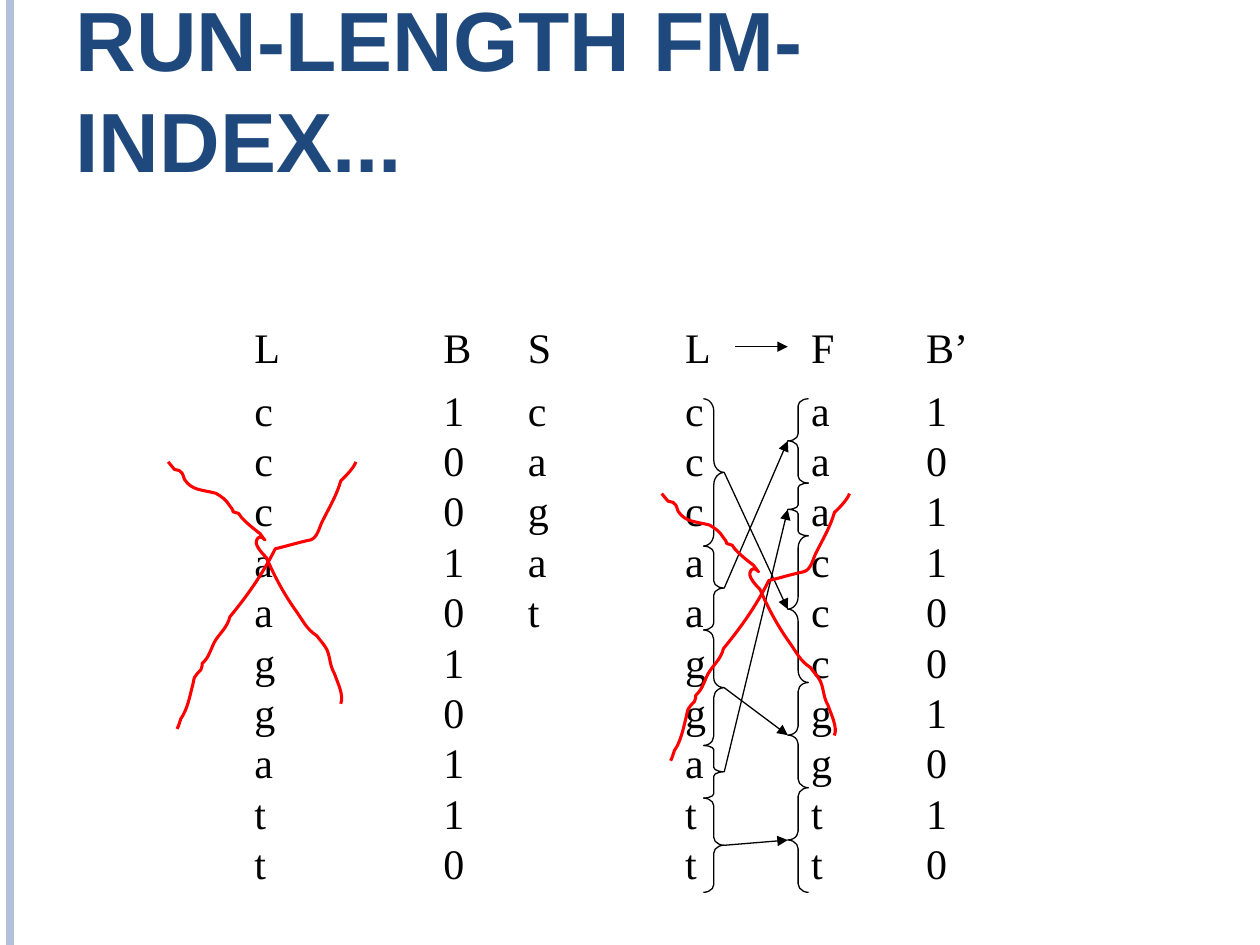
from dataclasses import dataclass
from itertools import pairwise

from lxml.etree import SubElement
from pptx import Presentation
from pptx.dml.color import RGBColor
from pptx.enum.shapes import MSO_CONNECTOR as Connector, MSO_SHAPE as Preset
from pptx.enum.text import MSO_ANCHOR as Anchor, MSO_AUTO_SIZE as AutoSize, PP_ALIGN as Align
from pptx.oxml.ns import qn
from pptx.util import Cm, Pt


@dataclass(frozen=True)
class Theme:
    title_color: RGBColor = RGBColor(0x1F, 0x49, 0x7D)
    text_color: RGBColor = RGBColor(0, 0, 0)
    cross_color: RGBColor = RGBColor(0xFF, 0, 0)
    edge_color: RGBColor = RGBColor(0xB2, 0xC1, 0xDB)
    title_font: str = "Arial"
    text_font: str = "Times New Roman"
    title_size: Pt = Pt(48)
    text_size: Pt = Pt(24)
    row_pitch: Pt = Pt(28.8)
    thin: Pt = Pt(0.75)
    stroke: Pt = Pt(1.75)
    edge: Pt = Pt(4.5)


THEME = Theme()

# heading, left, heading width, letters
COLUMNS = [
    ("L", 4.88, 1.02, "cccaaggatt"),
    ("B", 8.69, 1.07, "1001010110"),
    ("S", 10.39, 0.97, "cagat"),
    ("B’", 18.42, 1.35, "1011001010"),
    ("F", 16.1, 0.97, "aaacccggtt"),
    ("L", 13.56, 1.02, "cccaaggatt"),
]
HEADING_TOP, LETTERS_TOP, LETTER_WIDTH, ROW = 6.35, 7.62, 0.91, 1.02

BRACE_WIDTH, L_BRACE_LEFT, F_BRACE_LEFT = 0.42, 14.18, 15.88
L_BOUNDS = [8.04, 11.01, 12.7, 15.03, 16.09, 17.99]
F_BOUNDS = [8.04, 9.74, 10.8, 13.76, 15.88, 17.99]
L_RUN_OF_F_RUN = [1, 3, 0, 2, 4]

# Start point, then three Bézier points per curve, in hundredths of an inch
CROSS_UNIT = Cm(2.54) / 100
CROSS_ORIGINS = [(3.39, 9.31), (13.34, 9.95)]
CROSS_STROKES = [
    [(0, 0), (2, 2), (3, 4), (5, 6), (6, 7), (9, 6), (10, 8),
     (12, 9), (12, 12), (13, 14), (19, 23), (27, 22), (38, 25),
     (43, 28), (46, 30), (49, 35), (55, 42), (47, 38), (56, 41),
     (57, 43), (59, 45), (61, 47), (65, 51), (73, 57), (73, 57),
     (82, 70), (73, 53), (70, 63), (69, 67), (76, 74), (78, 76),
     (85, 92), (92, 105), (102, 119), (107, 126), (110, 133), (118, 138),
     (120, 141), (124, 145), (126, 149), (129, 156), (128, 161), (132, 168),
     (134, 174), (140, 186), (137, 192)],
    [(149, 0), (147, 6), (137, 15), (137, 15), (134, 26), (128, 36), (123, 46),
     (120, 51), (119, 60), (113, 62), (103, 64), (94, 67), (85, 69),
     (75, 89), (63, 106), (49, 123), (47, 131), (42, 135), (38, 141),
     (34, 147), (33, 155), (27, 160), (27, 161), (27, 163), (26, 165),
     (24, 167), (22, 169), (21, 171), (20, 173), (20, 176), (19, 179),
     (17, 187), (15, 197), (10, 204), (8, 210), (9, 208), (7, 212)],
]


def add_run(paragraph, text, font, size, color, bold=False):
    run = paragraph.add_run()
    run.text = text
    run.font.name, run.font.size, run.font.bold = font, size, bold
    run.font.color.rgb = color


def set_title(slide, text):
    title = slide.shapes.title
    title.left, title.top, title.width, title.height = Cm(1.27), Cm(0.76), Cm(20.75), Cm(3.18)
    frame = title.text_frame
    frame.auto_size, frame.vertical_anchor = AutoSize.NONE, Anchor.BOTTOM
    paragraph = frame.paragraphs[0]
    paragraph.alignment = Align.LEFT
    add_run(paragraph, text, THEME.title_font, THEME.title_size, THEME.title_color, True)


def add_letters(slide, left, top, width, letters):
    """Stack the given strings, one paragraph each."""
    height = ROW * len(letters) + 0.25
    frame = slide.shapes.add_textbox(Cm(left), Cm(top), Cm(width), Cm(height)).text_frame
    frame.word_wrap = False
    for row, letter in enumerate(letters):
        paragraph = frame.add_paragraph() if row else frame.paragraphs[0]
        paragraph.line_spacing = THEME.row_pitch
        add_run(paragraph, letter, THEME.text_font, THEME.text_size, THEME.text_color)


def add_line(slide, start, end, color, width, arrow_at_start=False):
    line = slide.shapes.add_connector(Connector.STRAIGHT, *map(Cm, start + end))
    line.line.color.rgb, line.line.width = color, width
    if arrow_at_start:
        SubElement(line.line._get_or_add_ln(), qn("a:headEnd"), type="triangle")
    SubElement(line._element.spPr, qn("a:effectLst"))


def outline(shape, color, width):
    shape.shadow.inherit = False
    shape.fill.background()
    shape.line.color.rgb, shape.line.width = color, width


def add_braces(slide, preset, left, bounds):
    """Brace every run between neighbouring bounds and return the middles."""
    for top, bottom in pairwise(bounds):
        height = bottom - top
        brace = slide.shapes.add_shape(preset, Cm(left), Cm(top), Cm(BRACE_WIDTH), Cm(height))
        brace.adjustments[0] = height / BRACE_WIDTH / 12
        outline(brace, THEME.text_color, THEME.thin)
    return [(top + bottom) / 2 for top, bottom in pairwise(bounds)]


def add_curve(slide, origin, points):
    builder = slide.shapes.build_freeform(*points[0], scale=CROSS_UNIT)
    builder.add_line_segments(points[1:], close=False)
    curve = builder.convert_to_shape(*map(Cm, origin))
    segments = list(curve._element.iter(qn("a:lnTo")))
    for first in range(0, len(segments), 3):
        bezier = SubElement(segments[first].getparent(), qn("a:cubicBezTo"))
        for segment in segments[first:first + 3]:
            bezier.append(segment[0])
            segment.getparent().remove(segment)
    outline(curve, THEME.cross_color, THEME.stroke)


def main():
    presentation = Presentation()
    presentation.slide_width, presentation.slide_height = Cm(25.4), Cm(19.05)
    slide = presentation.slides.add_slide(presentation.slide_layouts[5])

    add_line(slide, (0.21, 0), (0.21, 19.05), THEME.edge_color, THEME.edge)
    set_title(slide, "RUN-LENGTH FM-INDEX...")

    for heading, left, width, letters in COLUMNS:
        add_letters(slide, left, LETTERS_TOP, LETTER_WIDTH, letters)
        add_letters(slide, left, HEADING_TOP, width, [heading])

    f_middles = add_braces(slide, Preset.LEFT_BRACE, F_BRACE_LEFT, F_BOUNDS)
    l_middles = add_braces(slide, Preset.RIGHT_BRACE, L_BRACE_LEFT, L_BOUNDS)
    l_tip = L_BRACE_LEFT + BRACE_WIDTH
    for f_middle, l_run in zip(f_middles, L_RUN_OF_F_RUN):
        add_line(slide, (F_BRACE_LEFT, f_middle), (l_tip, l_middles[l_run]),
                 THEME.text_color, THEME.thin, True)
    add_line(slide, (F_BRACE_LEFT, 6.99), (14.82, 6.99), THEME.text_color, THEME.thin, True)

    for origin in CROSS_ORIGINS:
        for points in CROSS_STROKES:
            add_curve(slide, origin, points)

    presentation.save("out.pptx")


if __name__ == "__main__":
    main()
